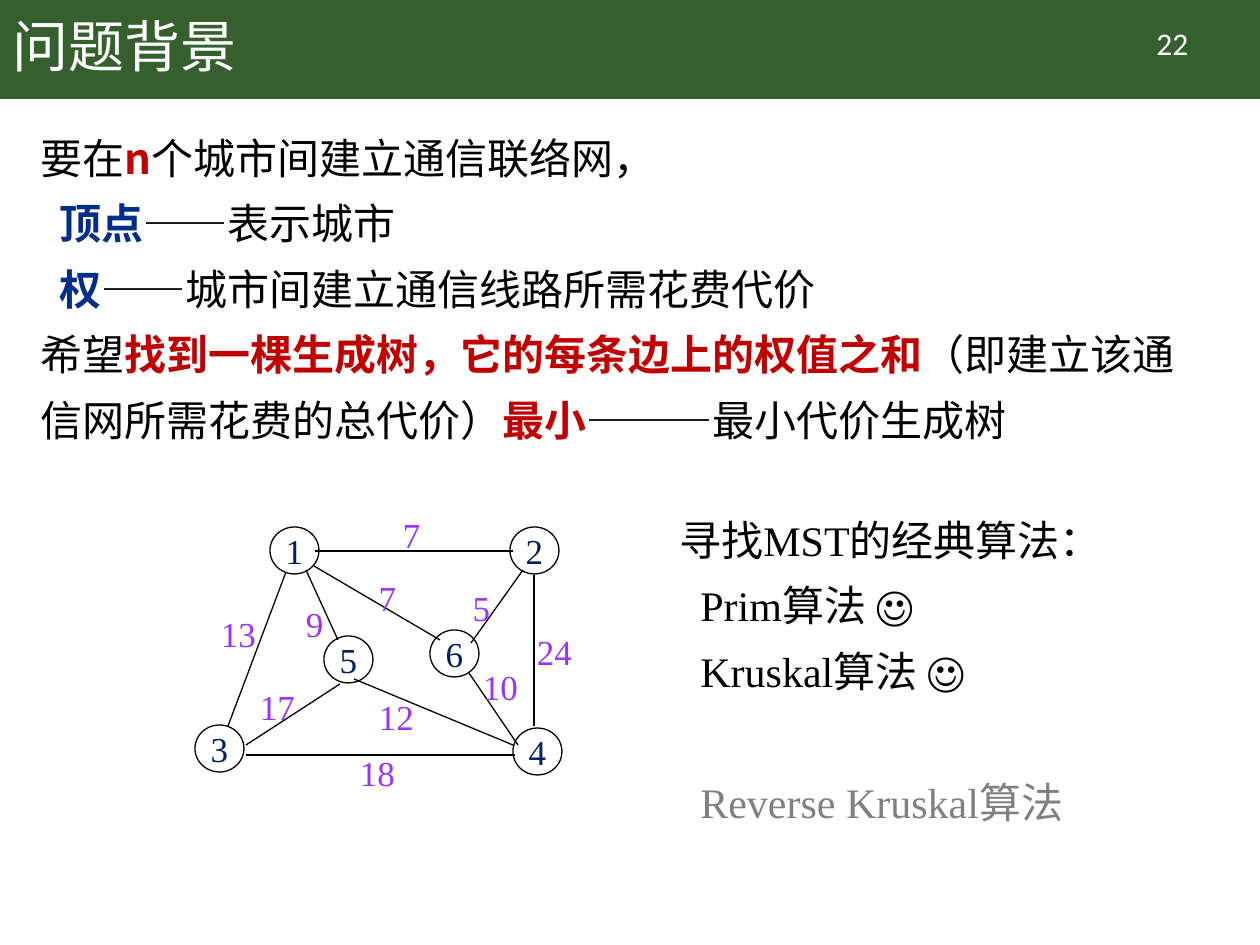
"""Build the slide on the background of the minimum spanning tree problem."""
import dataclasses
import typing

import lxml.etree
import pptx
import pptx.dml.color
import pptx.enum.shapes
import pptx.enum.text
import pptx.oxml.ns
import pptx.util

ALIGN = pptx.enum.text.PP_ALIGN
ANCHOR = pptx.enum.text.MSO_ANCHOR
FIT = pptx.enum.text.MSO_AUTO_SIZE


@dataclasses.dataclass(frozen=True)
class Theme:
    banner: str = "365F2E"
    white: str = "FFFFFF"
    black: str = "000000"
    red: str = "C00000"
    blue: str = "002E89"
    node: str = "002060"
    weight: str = "9933FF"
    grey: str = "808080"
    cjk: str = "Noto Sans CJK SC"
    serif: str = "Times New Roman"
    sans: str = "Calibri"
    title_pt: int = 32
    body_pt: int = 24
    graph_pt: int = 20
    number_pt: int = 18
    line_pt: float = 0.75


T = Theme()


class Style(typing.NamedTuple):
    font: str
    size: int
    color: str
    align: ALIGN = ALIGN.LEFT
    spacing: float = 1.0


class Run(typing.NamedTuple):
    text: str
    accent: str = ""


class Para(typing.NamedTuple):
    runs: list[Run]
    indent: int = 0
    before: float = 0
    color: str = ""


class Node(typing.NamedTuple):
    text: str
    x: int
    y: int


class Edge(typing.NamedTuple):
    x1: int
    y1: int
    x2: int
    y2: int


class Weight(typing.NamedTuple):
    text: str
    cx: int
    cy: int


TITLE = Style(T.cjk, T.title_pt, T.white, spacing=0.9)
NUMBER = Style(T.sans, T.number_pt, T.white, ALIGN.CENTER)
BODY = Style(T.cjk, T.body_pt, T.black, spacing=1.3)
ALGORITHMS = Style(T.serif, T.body_pt, T.black, spacing=1.3)
NODE = Style(T.serif, T.graph_pt, T.node, ALIGN.CENTER)
WEIGHT = Style(T.serif, T.graph_pt, T.weight, ALIGN.CENTER)

BACKGROUND = [
    Para([Run("要在"), Run("n", T.red), Run("个城市间建立通信联络网，")]),
    Para([Run("顶点", T.blue), Run("——表示城市")], 19),
    Para([Run("权", T.blue), Run("——城市间建立通信线路所需花费代价")], 19),
    Para([Run("希望"), Run("找到一棵生成树，它的每条边上的权值之和", T.red),
          Run("（即建立该通信网所需花费的总代价）"), Run("最小", T.red),
          Run("———最小代价生成树")]),
]
METHODS = [
    Para([Run("寻找MST的经典算法：")]),
    Para([Run("Prim算法 ☺")], 21),
    Para([Run("Kruskal算法 ☺")], 21),
    Para([Run("Reverse Kruskal算法")], 21, 37.5, T.grey),
]
NODES = [Node("1", 270, 527), Node("6", 430, 630), Node("5", 324, 636),
         Node("4", 513, 728), Node("3", 195, 725), Node("2", 510, 527)]
EDGES = [Edge(315, 551, 513, 551), Edge(286, 572, 228, 726),
         Edge(306, 570, 338, 640), Edge(246, 755, 515, 755),
         Edge(340, 684, 246, 745), Edge(314, 566, 440, 640),
         Edge(534, 575, 534, 726), Edge(523, 570, 471, 643),
         Edge(469, 673, 518, 745), Edge(354, 679, 513, 745)]
WEIGHTS = [Weight("7", 411, 534), Weight("13", 238, 633),
           Weight("17", 277, 706), Weight("9", 314, 623),
           Weight("18", 377, 772), Weight("12", 396, 716),
           Weight("7", 387, 597), Weight("5", 481, 607),
           Weight("24", 554, 651), Weight("10", 500, 686)]


def px(n: int) -> int:
    """Turn pixels into EMU."""
    return round(n * 914400 / 126)


def rgb(value: str) -> pptx.dml.color.RGBColor:
    """Read a hexadecimal colour."""
    return pptx.dml.color.RGBColor.from_string(value)


def write(tf, paras: list[Para], style: Style) -> None:
    """Fill a text frame with paragraphs in one style."""
    for i, para in enumerate(paras):
        p = tf.add_paragraph() if i else tf.paragraphs[0]
        p.alignment = style.align
        p.line_spacing = style.spacing
        if para.before:
            p.space_before = pptx.util.Pt(para.before)
        pPr = p._p.get_or_add_pPr()
        if para.indent:
            pPr.set("marL", str(px(para.indent)))
            pPr.set("indent", "0")
        p.font.name = style.font
        p.font.size = pptx.util.Pt(style.size)
        p.font.color.rgb = rgb(para.color or style.color)
        defaults = pPr.find(pptx.oxml.ns.qn("a:defRPr"))
        ea = lxml.etree.SubElement(defaults, pptx.oxml.ns.qn("a:ea"))
        ea.set("typeface", T.cjk)
        for run in para.runs:
            r = p.add_run()
            r.text = run.text
            if run.accent:
                r.font.bold = True
                r.font.color.rgb = rgb(run.accent)


def add_text(shapes, x: int, y: int, w: int, h: int, paras: list[Para],
             style: Style, anchor: ANCHOR = ANCHOR.TOP, wrap: bool = True,
             fit: FIT = FIT.NONE) -> None:
    """Add a text box."""
    tf = shapes.add_textbox(px(x), px(y), px(w), px(h)).text_frame
    tf.word_wrap = wrap
    tf.auto_size = fit
    tf.vertical_anchor = anchor
    write(tf, paras, style)


def add_banner(shapes) -> None:
    """Add the band behind the title."""
    sp = shapes.add_shape(pptx.enum.shapes.MSO_SHAPE.RECTANGLE,
                          0, 0, px(1260), px(99))
    sp.shadow.inherit = False
    sp.fill.solid()
    sp.fill.fore_color.rgb = rgb(T.banner)
    sp.line.fill.background()


def add_node(shapes, node: Node) -> None:
    """Add a numbered vertex."""
    sp = shapes.add_shape(pptx.enum.shapes.MSO_SHAPE.OVAL,
                          px(node.x), px(node.y), px(49), px(47))
    sp.shadow.inherit = False
    sp.fill.background()
    sp.line.color.rgb = rgb(T.black)
    sp.line.width = pptx.util.Pt(T.line_pt)
    tf = sp.text_frame
    tf.margin_left = tf.margin_right = tf.margin_top = tf.margin_bottom = 0
    tf.word_wrap = False
    tf.vertical_anchor = ANCHOR.MIDDLE
    write(tf, [Para([Run(node.text)])], NODE)


def add_edge(shapes, edge: Edge) -> None:
    """Add a straight edge."""
    line = shapes.add_connector(pptx.enum.shapes.MSO_CONNECTOR.STRAIGHT,
                                *(px(n) for n in edge))
    line.line.color.rgb = rgb(T.black)
    line.line.width = pptx.util.Pt(T.line_pt)
    lxml.etree.SubElement(line._element.spPr, pptx.oxml.ns.qn("a:effectLst"))


def add_weight(shapes, weight: Weight) -> None:
    """Add an edge weight around its centre."""
    w, h = 25 + 18 * len(weight.text), 54
    add_text(shapes, weight.cx - w // 2, weight.cy - h // 2, w, h,
             [Para([Run(weight.text)])], WEIGHT, ANCHOR.MIDDLE, False,
             FIT.SHAPE_TO_FIT_TEXT)


def main() -> None:
    """Build and save the slide."""
    prs = pptx.Presentation()
    prs.slide_width, prs.slide_height = px(1260), px(945)
    s = prs.slides.add_slide(prs.slide_layouts[6])
    add_banner(s.shapes)
    add_text(s.shapes, 0, 0, 1086, 99, [Para([Run("问题背景")])], TITLE,
             ANCHOR.MIDDLE)
    add_text(s.shapes, 28, 111, 1183, 815, BACKGROUND, BODY)
    add_text(s.shapes, 1097, 18, 151, 50, [Para([Run("22")])], NUMBER)
    graph = s.shapes.add_group_shape().shapes
    for draw, items in ((add_node, NODES), (add_edge, EDGES),
                        (add_weight, WEIGHTS)):
        for item in items:
            draw(graph, item)
    add_text(s.shapes, 667, 493, 467, 336, METHODS, ALGORITHMS,
             fit=FIT.SHAPE_TO_FIT_TEXT)
    prs.save("out.pptx")


if __name__ == "__main__":
    main()
